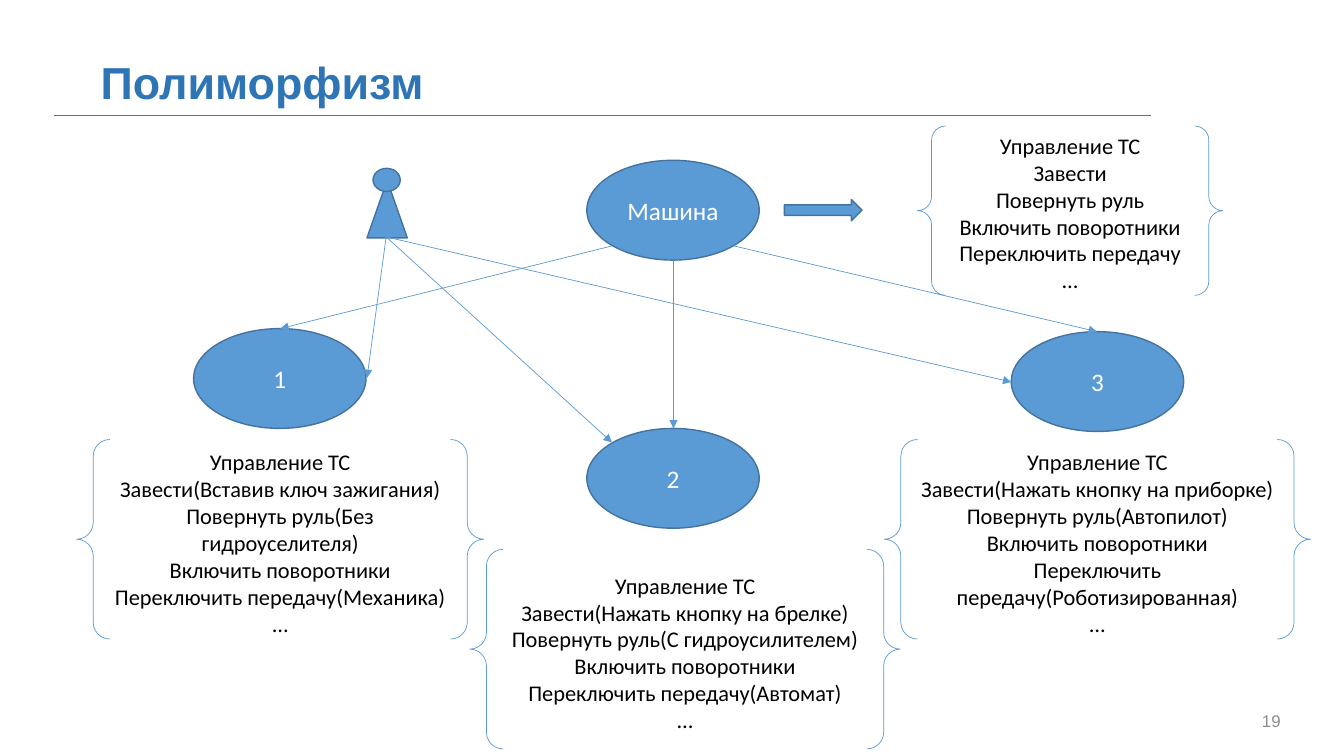
from lxml import etree
from pptx import Presentation
from pptx import util as u
from pptx.dml.color import RGBColor
from pptx.enum import shapes, text
from pptx.oxml import ns

PX = 9144
BLUE = RGBColor(0x5B, 0x9B, 0xD5)
EDGE = RGBColor(0x43, 0x73, 0x9E)
RULE = RGBColor(0x44, 0x72, 0xC4)
TITLE = RGBColor(0x2E, 0x75, 0xB6)
GREY = RGBColor(0x8C, 0x8C, 0x8C)
WHITE = RGBColor(0xFF, 0xFF, 0xFF)
BLACK = RGBColor(0, 0, 0)
LEFT, CENTER, RIGHT = text.PP_ALIGN.LEFT, text.PP_ALIGN.CENTER, text.PP_ALIGN.RIGHT
KIND = shapes.MSO_SHAPE

prs = Presentation()
prs.slide_width, prs.slide_height = 1333 * PX, 750 * PX
s = prs.slides.add_slide(prs.slide_layouts[6])


def write(sp, lines, size, color, font="Calibri", align=CENTER, bold=False):
    tf = sp.text_frame
    tf.word_wrap = True
    tf.vertical_anchor = text.MSO_ANCHOR.MIDDLE
    for i, line in enumerate(lines):
        p = tf.paragraphs[0] if i == 0 else tf.add_paragraph()
        p.alignment = align
        r = p.add_run()
        r.text = line
        r.font.size, r.font.name, r.font.bold = u.Pt(size), font, bold
        r.font.color.rgb = color


def draw(parent, kind, box, filled=True):
    sp = parent.shapes.add_shape(kind, *(v * PX for v in box))
    sp.shadow.inherit = False
    if filled:
        sp.fill.solid()
        sp.fill.fore_color.rgb = BLUE
    else:
        sp.fill.background()
    sp.line.color.rgb = EDGE if filled else BLUE
    sp.line.width = u.Pt(1 if filled else 0.5)
    return sp


for box, line, size, color, align, bold in [
    ((90, 53, 845, 55), "Полиморфизм", 32, TITLE, LEFT, True),
    ((1150, 695, 130, 40), "19", 12, GREY, RIGHT, False),
]:
    sp = s.shapes.add_textbox(*(v * PX for v in box))
    write(sp, [line], size, color, "Arial", align, bold)

for x, y, label in [(582, 159, "Машина"), (192, 326, "1"), (582, 425, "2"), (1003, 329, "3")]:
    sp = draw(s, KIND.OVAL, (x, y, 171, 99))
    write(sp, [label], 18, WHITE)

draw(s, KIND.RIGHT_ARROW, (778, 198, 77, 21))

methods = [
    ((910, 125, 303, 168), "", "", ""),
    ((76, 436, 404, 198), "(Вставив ключ зажигания)", "(Без гидроуселителя)", "(Механика)"),
    ((466, 545, 427, 198), "(Нажать кнопку на брелке)", "(С гидроусилителем)", "(Автомат)"),
    ((877, 436, 423, 198), "(Нажать кнопку на приборке)", "(Автопилот)", "(Роботизированная)"),
]
for box, start, steer, gear in methods:
    sp = draw(s, KIND.DOUBLE_BRACE, box, filled=False)
    sp.text_frame.margin_top, sp.text_frame.margin_bottom = 0, 10 * PX
    write(sp, ["Управление ТС", "Завести" + start, "Повернуть руль" + steer,
               "Включить поворотники", "Переключить передачу" + gear, "…"], 16, BLACK)

driver = s.shapes.add_group_shape()
draw(driver, KIND.ISOSCELES_TRIANGLE, (364, 179, 40, 57))
draw(driver, KIND.FLOWCHART_CONNECTOR, (370, 167, 27, 23))

for ends, color, arrow in [
    ((54, 114, 1142, 114), RULE, False),
    ((607, 244, 278, 326), BLUE, True),
    ((668, 258, 668, 425), BLUE, True),
    ((728, 244, 1088, 329), BLUE, True),
    ((383, 235, 607, 439), BLUE, True),
    ((383, 235, 364, 375), BLUE, True),
    ((383, 235, 1003, 379), BLUE, True),
]:
    c = s.shapes.add_connector(shapes.MSO_CONNECTOR.STRAIGHT, *(v * PX for v in ends))
    c.line.color.rgb = color
    c.line.width = u.Pt(0.5)
    if arrow:
        etree.SubElement(c.line._get_or_add_ln(), ns.qn("a:tailEnd"), type="triangle")
    etree.SubElement(c._element.spPr, ns.qn("a:effectLst"))

prs.save("out.pptx")
